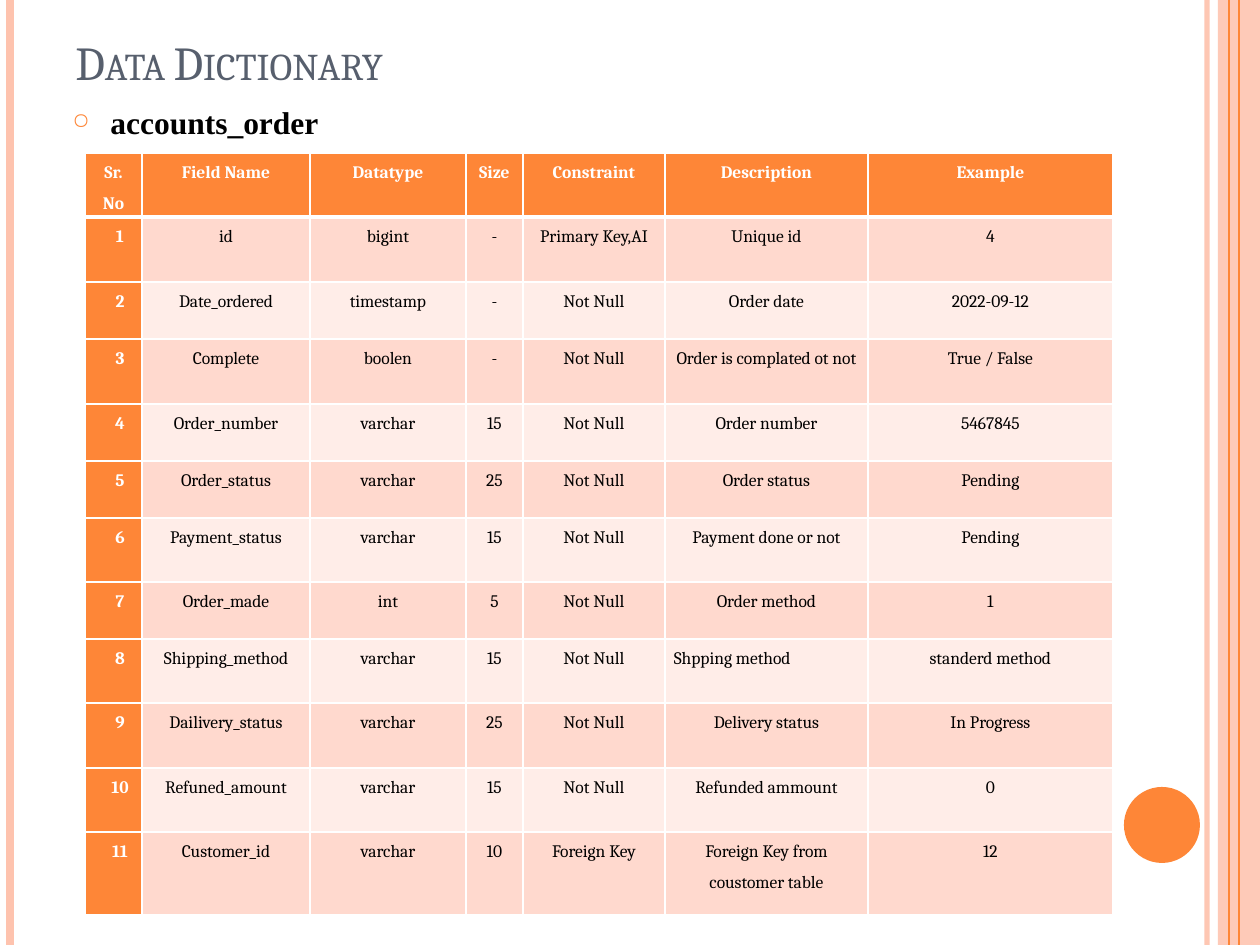
"""Build the data dictionary slide for the accounts_order table."""
from lxml import etree
from pptx import Presentation
from pptx import util as u
from pptx.dml.color import RGBColor
from pptx.enum import shapes, text
from pptx.oxml.ns import qn

COLORS = {"orange": "FE8637", "peach": "FEC3AE", "odd": "FFD9CE", "even": "FFEDE8",
          "slate": "575F6D", "black": "000000", "white": "FFFFFF"}
SCALE = 914400 / 126


def px(length):
    return u.Emu(round(length * SCALE))


def write(paragraph, words, size, color, bold=False, face="Cambria"):
    run = paragraph.add_run()
    run.text = words
    run.font.size = u.Pt(size)
    run.font.name = face
    run.font.bold = bold
    run.font.color.rgb = RGBColor.from_string(COLORS[color])
    return run


prs = Presentation()
prs.slide_width, prs.slide_height = px(1260), px(945)
slide = prs.slides.add_slide(prs.slide_layouts[6])

band = slide.shapes.add_shape(shapes.MSO_SHAPE.RECTANGLE, px(1218), 0, px(42), px(945))
disc = slide.shapes.add_shape(shapes.MSO_SHAPE.OVAL, px(1124), px(787), px(76), px(76))
for accent, color in ((band, "peach"), (disc, "orange")):
    accent.shadow.inherit = False
    accent.fill.solid()
    accent.fill.fore_color.rgb = RGBColor.from_string(COLORS[color])
    accent.line.fill.background()
band_color = band.fill._xPr.find(".//" + qn("a:srgbClr"))
etree.SubElement(band_color, qn("a:alpha"), val="87000")

for x, color, weight, opacity in ((1207, "peach", 3, 93), (10, "peach", 4.5, 100),
                                  (1229, "orange", 1.5, 100), (1239, "orange", 0.75, 100)):
    stripe = slide.shapes.add_connector(shapes.MSO_CONNECTOR.STRAIGHT, px(x), 0, px(x), px(945))
    stripe.line.color.rgb = RGBColor.from_string(COLORS[color])
    stripe.line.width = u.Pt(weight)
    properties = stripe._element.spPr
    if opacity < 100:
        etree.SubElement(properties.find(".//" + qn("a:srgbClr")), qn("a:alpha"),
                         val=str(opacity * 1000))
    etree.SubElement(properties, qn("a:effectLst"))
slide.shapes._spTree.append(disc._element)

title = slide.shapes.add_textbox(px(63), px(38), px(1029), px(58)).text_frame
title.word_wrap = True
title.vertical_anchor = text.MSO_ANCHOR.BOTTOM
heading = write(title.paragraphs[0], "Data Dictionary", 27, "slate")
heading.font._element.set("cap", "small")

body = slide.shapes.add_textbox(px(60), px(97), px(1029), px(56)).text_frame
body.word_wrap = True
entity = body.paragraphs[0]
bullet = entity._p.get_or_add_pPr()
bullet.set("marL", str(px(38)))
bullet.set("indent", str(-px(38)))
bullet_color = etree.SubElement(bullet, qn("a:buClr"))
etree.SubElement(bullet_color, qn("a:srgbClr"), val=COLORS["orange"])
etree.SubElement(bullet, qn("a:buSzPct"), val="70000")
etree.SubElement(bullet, qn("a:buChar"), char="○")
write(entity, "accounts_order", 18, "black", True, "Times New Roman")

fields = [
    ("Sr. No", "Field Name", "Datatype", "Size", "Constraint", "Description", "Example"),
    ("1", "id", "bigint", "-", "Primary Key,AI", "Unique id", "4"),
    ("2", "Date_ordered", "timestamp", "-", "Not Null", "Order date", "2022-09-12"),
    ("3", "Complete", "boolen", "-", "Not Null", "Order is complated ot not", "True / False"),
    ("4", "Order_number", "varchar", "15", "Not Null", "Order number", "5467845"),
    ("5", "Order_status", "varchar", "25", "Not Null", "Order status", "Pending"),
    ("6", "Payment_status", "varchar", "15", "Not Null", "Payment done or not", "Pending"),
    ("7", "Order_made", "int", "5", "Not Null", "Order method", "1"),
    ("8", "Shipping_method", "varchar", "15", "Not Null", "Shpping method", "standerd method"),
    ("9", "Dailivery_status", "varchar", "25", "Not Null", "Delivery status", "In Progress"),
    ("10", "Refuned_amount", "varchar", "15", "Not Null", "Refunded ammount", "0"),
    ("11", "Customer_id", "varchar", "10", "Foreign Key", "Foreign Key from coustomer table", "12"),
]
widths = [57, 168, 156, 57, 142, 203, 245]
heights = [64, 65, 57, 65, 57, 57, 64, 57, 64, 65, 64, 83]
dictionary = slide.shapes.add_table(len(fields), len(widths), px(85), px(153),
                                    px(sum(widths)), px(sum(heights))).table
for column, width in zip(dictionary.columns, widths):
    column.width = px(width)
for row, height in zip(dictionary.rows, heights):
    row.height = px(height)

for r, field in enumerate(fields):
    for c, words in enumerate(field):
        cell = dictionary.cell(r, c)
        cell.margin_left = cell.margin_right = px(9)
        cell.margin_top = cell.margin_bottom = 0
        accented = r == 0 or c == 0
        for side in ("L", "R", "T", "B"):
            thick = (r == 0 and side == "B") or (r == 1 and side == "T")
            border = etree.SubElement(cell._tc.get_or_add_tcPr(), qn(f"a:ln{side}"),
                                      w=str(u.Pt(3 if thick else 1)))
            paint = etree.SubElement(border, qn("a:solidFill"))
            etree.SubElement(paint, qn("a:srgbClr"), val=COLORS["white"])
        cell.fill.solid()
        shade = "orange" if accented else "odd" if r % 2 else "even"
        cell.fill.fore_color.rgb = RGBColor.from_string(COLORS[shade])
        entry = cell.text_frame.paragraphs[0]
        left = words == "Shpping method"
        entry.alignment = text.PP_ALIGN.LEFT if left else text.PP_ALIGN.CENTER
        entry.line_spacing = 1.5
        entry.space_after = u.Pt(10)
        if r and c == 0:
            entry._p.get_or_add_pPr().set("marL", str(px(13)))
        write(entry, words, 10, "white" if accented else "black", accented)

prs.save("out.pptx")
